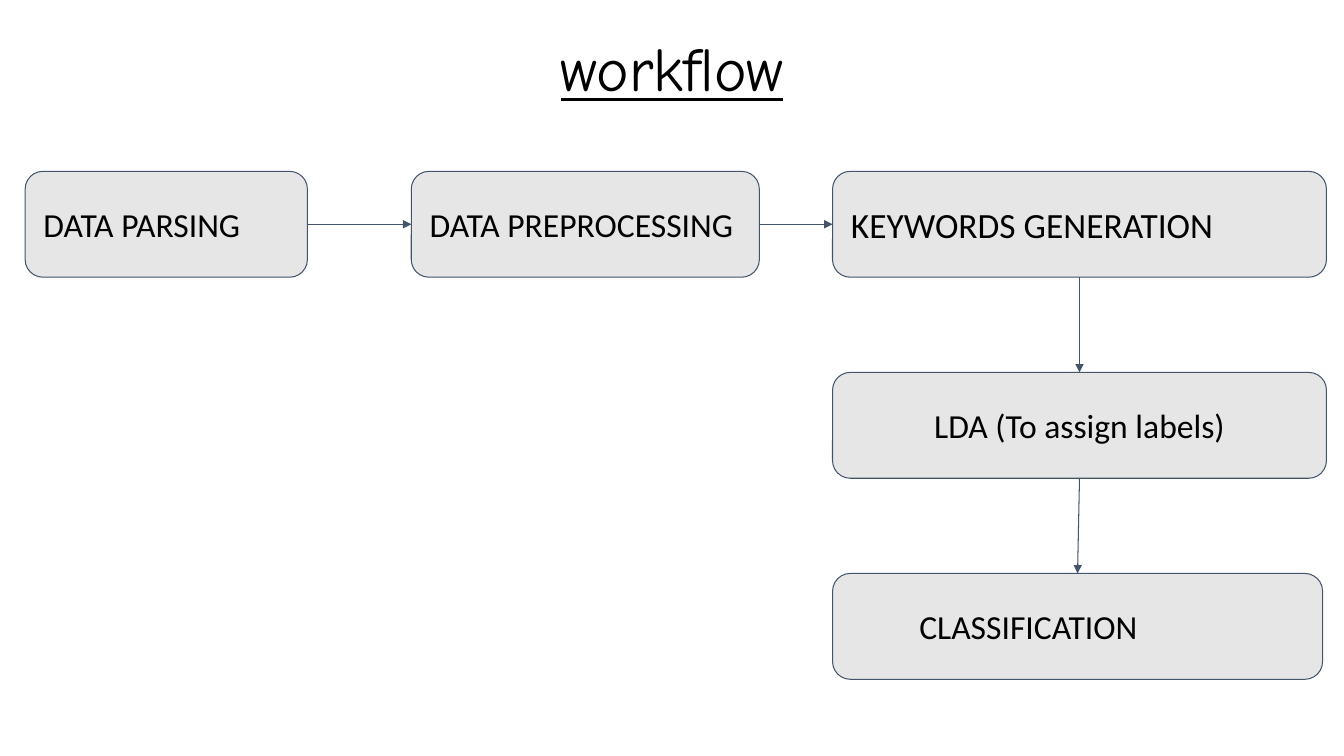
from dataclasses import dataclass
from itertools import pairwise

from lxml.etree import SubElement
from pptx import Presentation
from pptx.dml.color import RGBColor
from pptx.enum.shapes import MSO_CONNECTOR as Connector, MSO_SHAPE as Shape
from pptx.enum.text import MSO_ANCHOR as Anchor, PP_ALIGN as Align
from pptx.oxml.ns import qn
from pptx.util import Pt


@dataclass(frozen=True)
class Theme:
    ink: RGBColor = RGBColor(0x00, 0x00, 0x00)
    panel: RGBColor = RGBColor(0xE7, 0xE6, 0xE6)
    outline: RGBColor = RGBColor(0x44, 0x54, 0x6A)
    title_font: str = "Comic Neue"
    body_font: str = "Calibri"
    title_size: float = 44
    step_size: float = 24
    keywords_size: float = 25.3
    outline_width: float = 0.75
    inset: float = 9.4


THEME = Theme()
TOP, BOTTOM, LEFT, RIGHT = 0, 2, 1, 3


def write(shape, text, font=THEME.body_font, size=THEME.step_size, align=Align.LEFT,
          anchor=Anchor.MIDDLE, underline=False, line_spacing=1.0, indent=0):
    frame = shape.text_frame
    frame.word_wrap = True
    frame.vertical_anchor = anchor
    frame.margin_left = frame.margin_right = Pt(THEME.inset)
    frame.margin_top = frame.margin_bottom = Pt(THEME.inset)
    line = frame.paragraphs[0]
    line.alignment = align
    line.line_spacing = line_spacing
    if indent:
        properties = line._p.get_or_add_pPr()
        properties.set("marL", str(Pt(indent)))
        properties.set("indent", "0")
    run = line.add_run()
    run.text = text
    run.font.name = font
    run.font.size = Pt(size)
    run.font.underline = underline
    run.font.color.rgb = THEME.ink


def add_title(slide, left, top, width, height):
    title = slide.shapes.add_textbox(Pt(left), Pt(top), Pt(width), Pt(height))
    write(title, "workflow", font=THEME.title_font, size=THEME.title_size,
          align=Align.CENTER, anchor=Anchor.TOP, underline=True, line_spacing=0.9)


def add_step(slide, text, left, top, width, height, **text_format):
    step = slide.shapes.add_shape(Shape.ROUNDED_RECTANGLE,
                                  Pt(left), Pt(top), Pt(width), Pt(height))
    step.shadow.inherit = False
    step.fill.solid()
    step.fill.fore_color.rgb = THEME.panel
    step.line.color.rgb = THEME.outline
    step.line.width = Pt(THEME.outline_width)
    write(step, text, **text_format)
    return step


def add_arrow(slide, source, source_side, target, target_side):
    arrow = slide.shapes.add_connector(Connector.STRAIGHT, 0, 0, 0, 0)
    arrow.begin_connect(source, source_side)
    arrow.end_connect(target, target_side)
    arrow.line.color.rgb = THEME.outline
    arrow.line.width = Pt(THEME.outline_width)
    SubElement(arrow.line._get_or_add_ln(), qn("a:tailEnd"), type="triangle")
    SubElement(arrow._element.spPr, qn("a:effectLst"))


def add_flow(slide, left, top, step_height=75.6, row_pitch=143.6):
    """Three steps across, then two more down under the last one."""
    preprocessing_left = left + 275.8
    keywords_left = left + 576.7
    keywords_width = 352.8

    def step(text, step_left, row, width, **text_format):
        return add_step(slide, text, step_left, top + row * row_pitch,
                        width, step_height, **text_format)

    parsing = step("DATA PARSING", left, 0, 201.6)
    preprocessing = step("DATA PREPROCESSING", preprocessing_left, 0, 248.6)
    keywords = step("KEYWORDS GENERATION", keywords_left, 0, keywords_width,
                    size=THEME.keywords_size)
    labels = step("LDA (To assign labels)", keywords_left, 1, keywords_width,
                  align=Align.CENTER)
    classification = step("CLASSIFICATION", keywords_left, 2, 350, indent=48.8)

    for source, target in pairwise((parsing, preprocessing, keywords)):
        add_arrow(slide, source, RIGHT, target, LEFT)
    for source, target in pairwise((keywords, labels, classification)):
        add_arrow(slide, source, BOTTOM, target, TOP)


def main():
    deck = Presentation()
    deck.slide_width, deck.slide_height = Pt(960), Pt(540)
    slide = deck.slides.add_slide(deck.slide_layouts[6])
    add_title(slide, 32.7, 18, 894.6, 97.2)
    add_flow(slide, 18, 122.4)
    deck.save("out.pptx")


if __name__ == "__main__":
    main()
